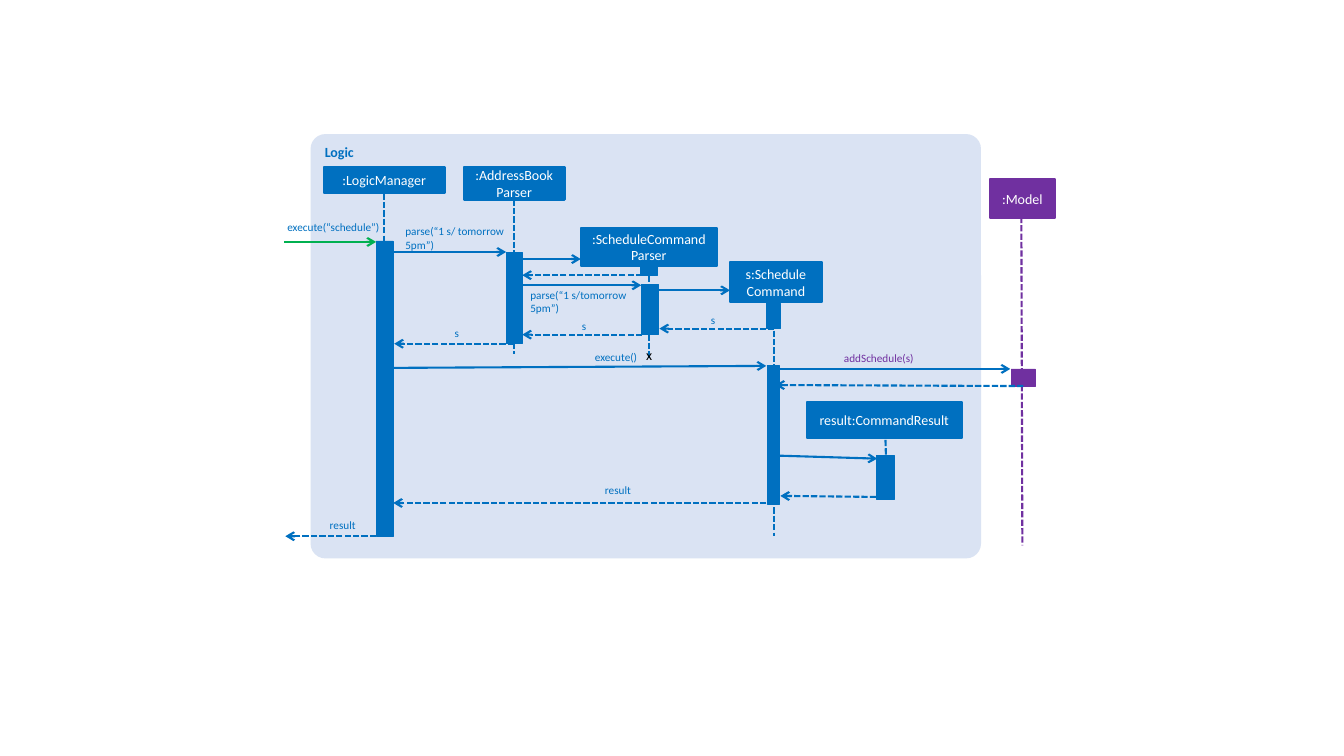
from dataclasses import dataclass

from lxml.etree import SubElement
from pptx import Presentation
from pptx.dml.color import RGBColor
from pptx.enum.dml import MSO_LINE
from pptx.enum.shapes import MSO_CONNECTOR, MSO_SHAPE
from pptx.enum.text import MSO_ANCHOR, PP_ALIGN
from pptx.oxml.ns import qn
from pptx.util import Pt

PX = 9144  # 100 px to the inch


@dataclass(frozen=True)
class Theme:
    font: str = "Calibri"
    logic: str = "0070C0"
    model: str = "7030A0"
    call: str = "00B050"
    panel: str = "DAE3F3"
    white: str = "FFFFFF"
    black: str = "000000"
    name_size: int = 10
    label_size: int = 8
    stroke: float = 1.5
    bar_stroke: float = 0.5


T = Theme()

# Content: boxes are (left, top, width, height)
PANEL = ("Logic", (308, 133, 665, 421))
PARTICIPANTS = [
    (":LogicManager", (321, 166, 120, 26), T.logic),
    (":AddressBookParser", (460, 166, 100, 32), T.logic),
    (":ScheduleCommandParser", (576, 226, 135, 38), T.logic),
    ("s:Schedule Command", (724, 260, 91, 40), T.logic),
    ("result:CommandResult", (800, 399, 154, 36), T.logic),
    (":Model", (982, 178, 64, 38), T.model),
]
# Lines are (x1, y1, x2, y2)
LIFELINES = [
    ((381, 192, 381, 507), T.logic),
    ((510, 198, 510, 351), T.logic),
    ((644, 265, 644, 355), T.logic),
    ((768, 303, 768, 532), T.logic),
    ((878, 428, 879, 463), T.logic),
    ((1013, 215, 1014, 541), T.model),
]
ACTIVATIONS = [
    ((373, 239, 17, 293), T.logic),
    ((502, 250, 16, 91), T.logic),
    ((635, 264, 17, 9), T.logic),
    ((636, 282, 17, 50), T.logic),
    ((760, 301, 14, 25), T.logic),
    ((761, 363, 12, 137), T.logic),
    ((869, 452, 18, 43), T.logic),
    ((1003, 366, 24, 17), T.model),
]
CALLS = [
    ((282, 240, 373, 240), T.call),
    ((390, 250, 502, 250), T.logic),
    ((518, 257, 576, 257), T.logic),
    ((512, 283, 636, 283), T.logic),
    ((653, 288, 724, 288), T.logic),
    ((383, 365, 760, 363), T.logic),
    ((774, 366, 1002, 366), T.logic),
    ((770, 452, 870, 455), T.logic),
]
RETURNS = [
    (637, 273, 518, 273),
    (768, 326, 654, 326),
    (637, 332, 518, 332),
    (510, 341, 391, 341),
    (1015, 383, 769, 382),
    (869, 493, 774, 492),
    (760, 499, 390, 499),
    (373, 532, 283, 532),
]
LABELS = [
    ("execute(“schedule”)", (285, 219, 97, 13), T.logic),
    ("parse(“1 s/ tomorrow 5pm”)", (402, 223, 102, 27), T.logic),
    ("parse(“1 s/tomorrow 5pm”)", (526, 286, 104, 27), T.logic),
    ("s", (705, 311, 9, 13), T.logic),
    ("s", (577, 317, 9, 13), T.logic),
    ("s", (451, 324, 9, 13), T.logic),
    ("execute()", (590, 348, 78, 13), T.logic),
    ("addSchedule(s)", (837, 349, 79, 13), T.model),
    ("result", (600, 480, 78, 13), T.logic),
    ("result", (327, 514, 78, 13), T.logic),
]
DESTROYED = ("x", (641, 344, 10, 17), T.black)


def emu(lengths):
    return [n * PX for n in lengths]


def rgb(color):
    return RGBColor.from_string(color)


def write(sp, text, size, color, bold=False, align=PP_ALIGN.LEFT, anchor=MSO_ANCHOR.TOP):
    tf = sp.text_frame
    tf.word_wrap = True
    tf.vertical_anchor = anchor
    tf.text = text
    p = tf.paragraphs[0]
    p.alignment = align
    f = p.runs[0].font
    f.name, f.size, f.bold = T.font, Pt(size), bold
    f.color.rgb = rgb(color)


def add_box(s, box, fill, stroke=None, kind=MSO_SHAPE.RECTANGLE):
    sp = s.shapes.add_shape(kind, *emu(box))
    sp.shadow.inherit = False
    sp.fill.solid()
    sp.fill.fore_color.rgb = rgb(fill)
    if stroke:
        sp.line.color.rgb = rgb(fill)
        sp.line.width = Pt(stroke)
    else:
        sp.line.fill.background()
    return sp


def add_line(s, ends, color, dashed=False, arrow=False):
    line = s.shapes.add_connector(MSO_CONNECTOR.STRAIGHT, *emu(ends))
    line.line.color.rgb = rgb(color)
    line.line.width = Pt(T.stroke)
    if dashed:
        line.line.dash_style = MSO_LINE.SQUARE_DOT
    if arrow:
        SubElement(line.line._get_or_add_ln(), qn("a:tailEnd"), type="arrow")
    SubElement(line._element.spPr, qn("a:effectLst"))


def add_label(s, text, box, color, size=T.label_size):
    tb = s.shapes.add_textbox(*emu(box))
    tf = tb.text_frame
    tf.margin_left = tf.margin_top = tf.margin_right = tf.margin_bottom = 0
    write(tb, text, size, color)


def main():
    prs = Presentation()
    prs.slide_width, prs.slide_height = emu((1333, 750))
    s = prs.slides.add_slide(prs.slide_layouts[6])

    # Logic component
    title, box = PANEL
    panel = add_box(s, box, T.panel, kind=MSO_SHAPE.ROUNDED_RECTANGLE)
    panel.adjustments[0] = 0.035
    write(panel, title, T.name_size, T.logic, bold=True)

    # Participants and their lifelines
    for ends, color in LIFELINES:
        add_line(s, ends, color, dashed=True)
    for name, box, color in PARTICIPANTS:
        sp = add_box(s, box, color, T.stroke)
        write(sp, name, T.name_size, T.white, align=PP_ALIGN.CENTER, anchor=MSO_ANCHOR.MIDDLE)
    for box, color in ACTIVATIONS:
        add_box(s, box, color, T.bar_stroke)

    # Messages
    for ends, color in CALLS:
        add_line(s, ends, color, arrow=True)
    for ends in RETURNS:
        add_line(s, ends, T.logic, dashed=True, arrow=True)
    for label in LABELS:
        add_label(s, *label)
    add_label(s, *DESTROYED, size=T.name_size)

    prs.save("out.pptx")


if __name__ == "__main__":
    main()
